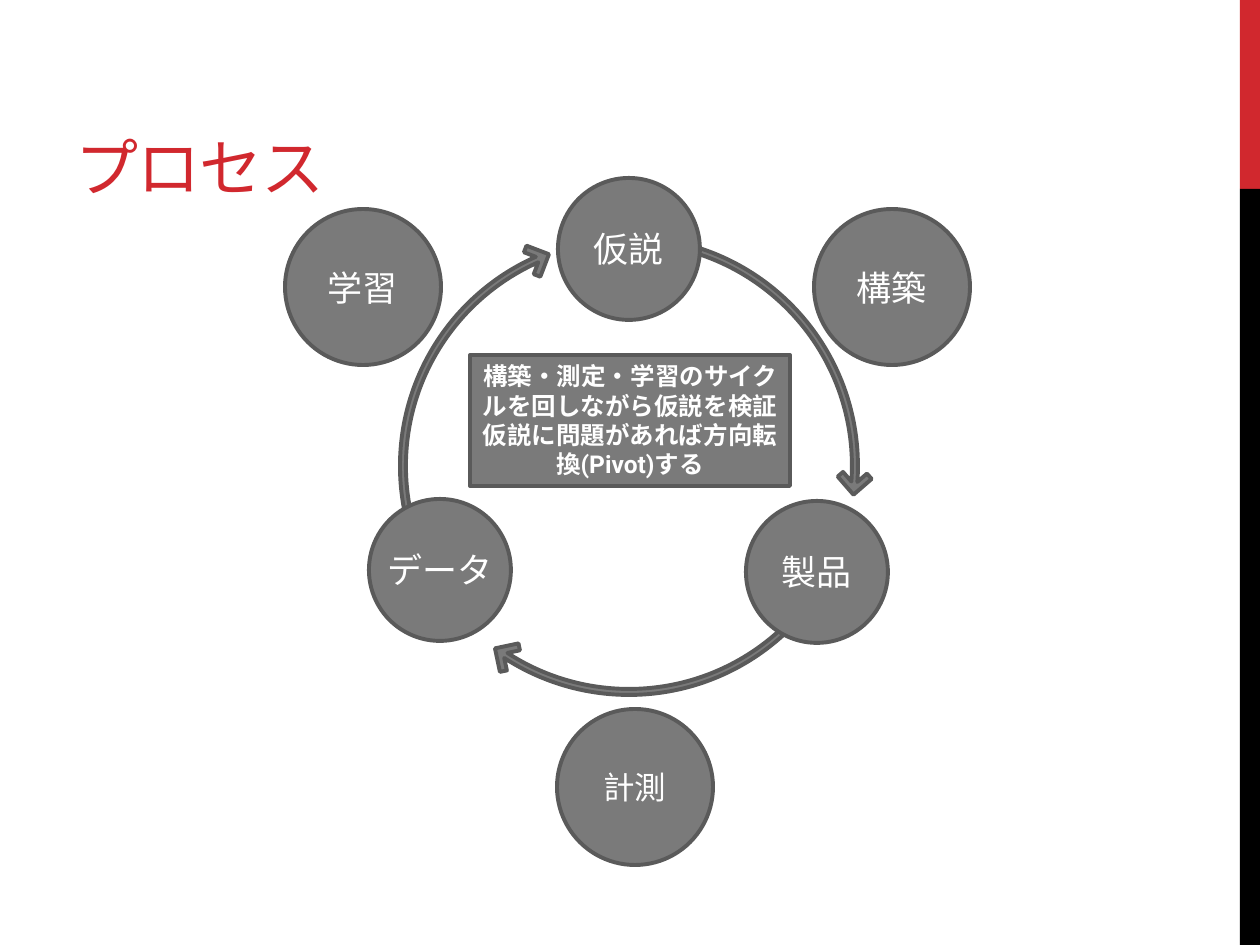
from dataclasses import dataclass
from math import cos, radians, sin, tan

from lxml.etree import SubElement
from pptx import Presentation
from pptx.dml.color import RGBColor as Rgb
from pptx.enum.shapes import MSO_SHAPE as Shape
from pptx.enum.text import MSO_ANCHOR as Anchor, PP_ALIGN as Align
from pptx.oxml.ns import qn
from pptx.util import Pt

PX = 914400 // 126  # EMU in one px


@dataclass(frozen=True)
class Theme:
    red: Rgb = Rgb(0xD1, 0x28, 0x2E)
    black: Rgb = Rgb(0, 0, 0)
    white: Rgb = Rgb(255, 255, 255)
    gray: Rgb = Rgb(0x7A, 0x7A, 0x7A)
    edge: Rgb = Rgb(0x5A, 0x5A, 0x5A)
    line: float = 2.25
    head: str = "Montserrat"
    body: str = "Roboto"
    title: int = 36
    node: int = 20
    small: int = 18
    note: int = 14


THEME = Theme()

# Cycle steps: text, centre x, centre y, diameter, type size
STEPS = [
    ("仮説", 343, 70, 142, THEME.node),
    ("製品", 531, 393, 142, THEME.node),
    ("データ", 154, 391, 142, THEME.node),
    ("構築", 606, 108, 156, THEME.node),
    ("学習", 77, 108, 156, THEME.node),
    ("計測", 349, 608, 156, THEME.small),
]
HUB = (343, 287)
OUTER, INNER = 229, 223
# Start, outermost point and end in degrees, clockwise
ARCS = [(32, 90, 123), (-90, 0, 4), (152, 180, 246)]
# Arrowhead as (outward, forward) from the end of the arc
HEAD = [(12, -9), (17, -4), (0, 13), (-17, -4), (-12, -9)]
NOTE = ["構築・測定・学習のサイクルを回しながら仮説を検証",
        "仮説に問題があれば方向転換(Pivot)する"]


def emu(*sizes):
    return [round(size * PX) for size in sizes]


def paint(shape, fill, edge=None):
    shape.shadow.inherit = False
    shape.fill.solid()
    shape.fill.fore_color.rgb = fill
    if edge is None:
        shape.line.fill.background()
    else:
        shape.line.color.rgb = edge
        shape.line.width = Pt(THEME.line)


def style(frame, face, size, color, align, bold=False):
    """Format all runs, with one face for Latin and Japanese letters."""
    for para in frame.paragraphs:
        para.alignment = align
        for run in para.runs:
            font = run.font
            font.name, font.size, font.bold = face, Pt(size), bold
            font.color.rgb = color
            SubElement(font._element, qn("a:ea")).set("typeface", face)


def add_band(slide, x, y, w, h):
    top = h // 5
    for color, start, tall in ((THEME.red, 0, top), (THEME.black, top, h - top)):
        bar = slide.shapes.add_shape(Shape.RECTANGLE, *emu(x, y + start, w, tall))
        paint(bar, color)


def add_title(slide, x, y, w, h):
    frame = slide.shapes.add_textbox(*emu(x, y, w, h)).text_frame
    frame.word_wrap = True
    frame.vertical_anchor = Anchor.BOTTOM
    frame.text = "プロセス"
    style(frame, THEME.head, THEME.title, THEME.red, Align.LEFT)
    frame.paragraphs[0].runs[0].font._element.set("spc", "-60")


def bend(shape, line, points):
    """Turn one straight segment into a cubic curve through the points."""
    curve = line.makeelement(qn("a:cubicBezTo"))
    for x, y in points:
        spot = SubElement(curve, qn("a:pt"))
        spot.set("x", str(x - shape.left))
        spot.set("y", str(y - shape.top))
    line.getparent().replace(line, curve)


def add_arrow(group, cx, cy, stops):
    """Draw a thin ring segment around (cx, cy) that ends in an open head."""
    def polar(radius, angle, ahead=0):
        a = radians(angle)
        return emu(cx + radius * cos(a) - ahead * sin(a),
                   cy + radius * sin(a) + ahead * cos(a))

    def curve(radius, a, b):
        pull = 4 / 3 * tan(radians(b - a) / 4) * radius
        return polar(radius, a, pull), polar(radius, b, -pull), polar(radius, b)

    mid = (OUTER + INNER) / 2
    back = stops[::-1]
    points = [polar(OUTER, angle) for angle in stops]
    points += [polar(mid + out, stops[-1], ahead) for out, ahead in HEAD]
    points += [polar(INNER, angle) for angle in back]
    pen = group.shapes.build_freeform(*points[0])
    pen.add_line_segments(points[1:], close=True)
    arrow = pen.convert_to_shape()
    lines = list(arrow._element.iter(qn("a:lnTo")))
    first = len(stops) + len(HEAD)
    for radius, turn, start in ((OUTER, stops, 0), (INNER, back, first)):
        for i, (a, b) in enumerate(zip(turn, turn[1:])):
            bend(arrow, lines[start + i], curve(radius, a, b))
    paint(arrow, THEME.gray, THEME.edge)


def add_step(group, cx, cy, size, text, points):
    disc = group.shapes.add_shape(
        Shape.OVAL, *emu(cx - size / 2, cy - size / 2, size, size))
    paint(disc, THEME.gray, THEME.edge)
    frame = disc.text_frame
    frame.margin_left = frame.margin_right = 0
    frame.margin_top = frame.margin_bottom = 0
    frame.word_wrap = False
    frame.vertical_anchor = Anchor.MIDDLE
    frame.text = text
    style(frame, THEME.body, points, THEME.white, Align.CENTER)


def add_note(group, x, y, w, h):
    box = group.shapes.add_shape(Shape.RECTANGLE, *emu(x, y, w, h))
    paint(box, THEME.gray, THEME.edge)
    frame = box.text_frame
    frame.word_wrap = True
    frame.vertical_anchor = Anchor.TOP
    frame.text = "\n".join(NOTE)
    style(frame, THEME.body, THEME.note, THEME.white, Align.CENTER, bold=True)


def add_cycle(slide, x, y):
    group = slide.shapes.add_group_shape()
    for stops in ARCS:
        add_arrow(group, x + HUB[0], y + HUB[1], stops)
    for text, cx, cy, size, points in STEPS:
        add_step(group, x + cx, y + cy, size, text, points)
    add_note(group, x + 184, y + 176, 320, 131)


def main():
    deck = Presentation()
    deck.slide_width, deck.slide_height = emu(1260, 945)
    slide = deck.slides.add_slide(deck.slide_layouts[6])
    add_band(slide, 1240, 0, 20, 945)
    add_title(slide, 63, 21, 798, 189)
    add_cycle(slide, 286, 179)
    deck.save("out.pptx")


if __name__ == "__main__":
    main()
